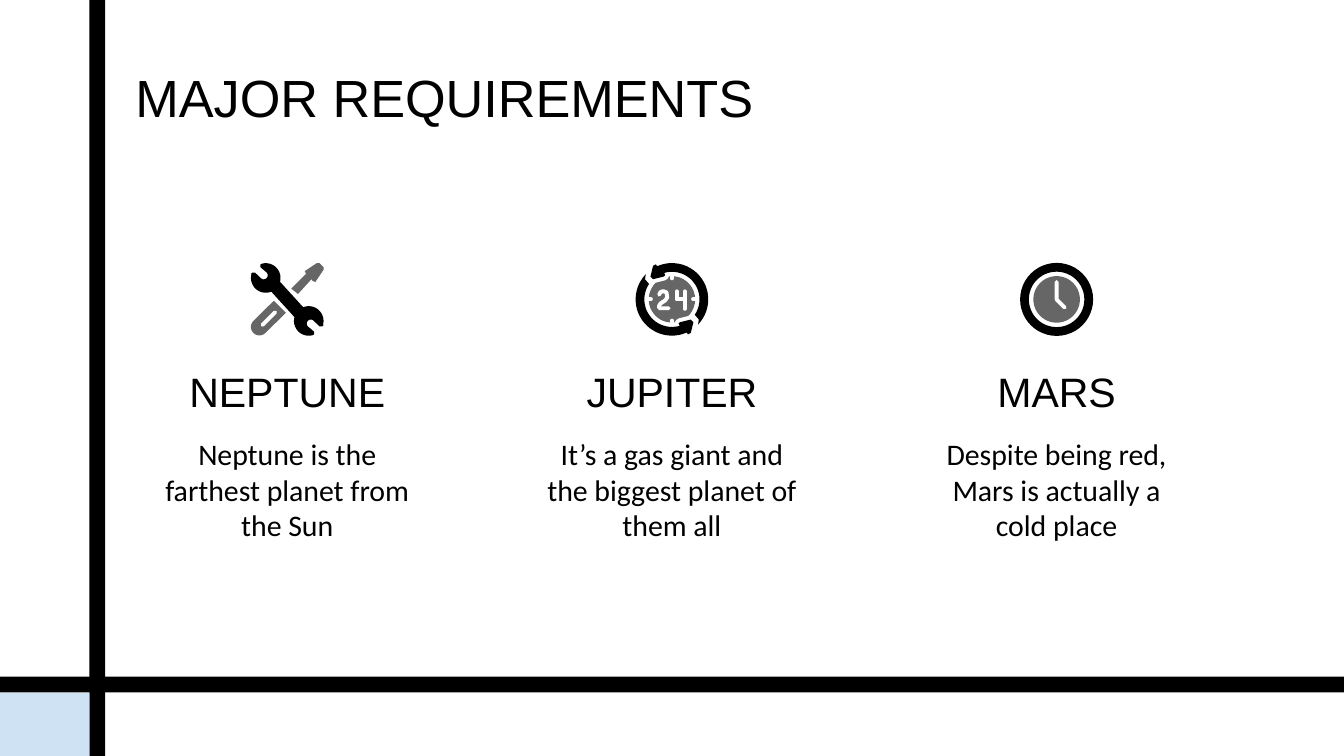
import math
import pptx
import pptx.dml.color
import pptx.enum.shapes
import pptx.enum.text
import pptx.oxml.ns
import pptx.util
from dataclasses import dataclass
from lxml import etree

Cm = pptx.util.Cm
Pt = pptx.util.Pt
Kind = pptx.enum.shapes.MSO_SHAPE
Align = pptx.enum.text.PP_ALIGN


@dataclass(frozen=True)
class Theme:
    ink: str = "000000"
    paper: str = "FFFFFF"
    gray: str = "666666"
    sky: str = "CFE2F3"
    head: str = "Arial"
    body: str = "Calibri"
    title: int = 28
    name: int = 22
    note: int = 16
    line: float = 2.1
    halo: float = 4.3


def arc(x, y, r, start, stop):
    """Points on an arc; angles in degrees, clockwise from the right."""
    steps = max(2, round(abs(stop - start) / 6))
    turns = [math.radians(start + (stop - start) * i / steps)
             for i in range(steps + 1)]
    return [(x + r * math.cos(t), y + r * math.sin(t)) for t in turns]


def spin(points):
    """Half a turn about the icon centre."""
    return [(-x, -y) for x, y in points]


class Page:
    """Draws on one slide; icon points are relative to the icon centre."""

    unit = Cm(0.0254)

    def __init__(self, slide, theme):
        self.slide = slide
        self.shapes = slide.shapes
        self.theme = theme

    def color(self, value):
        return pptx.dml.color.RGBColor.from_string(value)

    def paint(self, shape, fill):
        shape.shadow.inherit = False
        shape.fill.solid()
        shape.fill.fore_color.rgb = self.color(fill)
        shape.line.fill.background()

    def block(self, x, y, w, h, fill, kind=Kind.RECTANGLE):
        shape = self.shapes.add_shape(kind, Cm(x), Cm(y), Cm(w), Cm(h))
        self.paint(shape, fill)
        return shape

    def disc(self, spot, r, fill, kind=Kind.OVAL):
        x, y = spot
        return self.block(x - r, y - r, 2 * r, 2 * r, fill, kind)

    def trace(self, spot, points, close):
        (x, y), *rest = [(px * self.unit, py * self.unit) for px, py in points]
        pen = self.shapes.build_freeform(x, y)
        pen.add_line_segments(rest, close=close)
        return pen.convert_to_shape(Cm(spot[0]), Cm(spot[1]))

    def solid(self, spot, points, fill, rim=None):
        shape = self.trace(spot, points, True)
        self.paint(shape, fill)
        if rim:
            shape.line.color.rgb = self.color(fill)
            shape.line.width = Pt(rim)

    def stroke(self, spot, points):
        shape = self.trace(spot, points, False)
        shape.shadow.inherit = False
        shape.fill.background()
        shape.line.color.rgb = self.color(self.theme.paper)
        shape.line.width = Pt(self.theme.line)
        line = shape.element.spPr.find(pptx.oxml.ns.qn("a:ln"))
        line.set("cap", "rnd")
        etree.SubElement(line, pptx.oxml.ns.qn("a:round"))

    def letter(self, shape, text, font, size, align):
        frame = shape.text_frame
        frame.word_wrap = True
        frame.auto_size = pptx.enum.text.MSO_AUTO_SIZE.NONE
        frame.vertical_anchor = pptx.enum.text.MSO_ANCHOR.MIDDLE
        frame.margin_left = frame.margin_right = Cm(0.25)
        frame.margin_top = frame.margin_bottom = Cm(0.25)
        frame.text = text
        para = frame.paragraphs[0]
        para.alignment = align
        para.font.name = font
        para.font.size = Pt(size)
        para.font.color.rgb = self.color(self.theme.ink)

    def title(self, text, x, y, w, h):
        shape = self.shapes.title
        shape.left, shape.top = Cm(x), Cm(y)
        shape.width, shape.height = Cm(w), Cm(h)
        self.letter(shape, text, self.theme.head, self.theme.title, Align.LEFT)

    def label(self, text, mid, y, w, h, font, size):
        box = self.shapes.add_textbox(Cm(mid - w / 2), Cm(y), Cm(w), Cm(h))
        self.letter(box, text, font, size, Align.CENTER)

    def tools(self, spot):
        driver = [(3, -8), (14, -19), (13, -21), (22, -27), (24, -27),
                  (27, -24), (27, -22), (21, -13), (19, -13.5), (18, -15),
                  (8, -4)]
        handle = [(-10, 1)] + arc(-20.7, 20.5, 6.3, 225, 45) + [(-1, 10)]
        slot = [(-20, -26), (-20, -24), *arc(-17.5, -18, 3, -45, 135),
                (-24, -20), (-26, -20), (-27, -19)]
        half = arc(-16, -16, 11, 15, -105) + slot + arc(-16, -16, 11, 195, 68)
        self.solid(spot, driver, self.theme.gray)
        self.solid(spot, handle, self.theme.gray)
        self.stroke(spot, [(-18.5, 19), (-9, 9.5)])
        self.solid(spot, half + spin(half), self.theme.ink)

    def day(self, spot):
        self.disc(spot, 0.44, self.theme.gray)
        two = [(-9.5, -3.5), (-8.5, -5.5), (-6.5, -6.2), (-4, -5.2),
               (-3.5, -1.5), (-5, 0.7), (-8.5, 3), (-9.5, 4.5), (-9.5, 6.5),
               (-2.5, 6.5)]
        four = [(3.5, -6), (3.5, 0), (9.5, 0)]
        stem = [(9.5, -6), (9.5, 7)]
        side, top = [(15.7, 0), (17, 0)], [(0, -17), (0, -15.7)]
        for points in (two, four, stem, side, spin(side), top, spin(top)):
            self.stroke(spot, points)
        tip = [(-6, -20), (-5, -18), (-6, -17), (-14, -15), (-16, -17),
               (-14, -25), (-12, -26)]
        sweep = (arc(0, 0, 27, 246, 404) + [(20, 15), (17, 11.5)]
                 + arc(0, 0, 20.5, 394, 253) + tip)
        arrows = sweep, spin(sweep)
        for points in arrows:
            self.solid(spot, points, self.theme.paper, self.theme.halo)
        for points in arrows:
            self.solid(spot, points, self.theme.ink)

    def clock(self, spot):
        self.disc(spot, 0.44, self.theme.gray)
        ring = self.disc(spot, 0.69, self.theme.ink, Kind.DONUT)
        ring.adjustments[0] = 0.12
        self.stroke(spot, [(0, -13), (0, 0), (6, 6)])


def main():
    deck = pptx.Presentation()
    deck.slide_width, deck.slide_height = Cm(25.4), Cm(14.29)
    theme = Theme()
    page = Page(deck.slides.add_slide(deck.slide_layouts[5]), theme)

    page.block(1.69, 0, 0.3, 14.29, theme.ink)
    page.block(0, 13.1, 1.69, 1.19, theme.sky)
    page.block(0, 12.79, 25.4, 0.3, theme.ink)
    page.title("MAJOR REQUIREMENTS", 2.31, 1.5, 21.1, 0.66)

    items = [
        ("NEPTUNE", "Neptune is the farthest planet from the Sun", page.tools),
        ("JUPITER", "It’s a gas giant and the biggest planet of them all",
         page.day),
        ("MARS", "Despite being red, Mars is actually a cold place",
         page.clock),
    ]
    for i, (name, note, icon) in enumerate(items):
        mid = 5.43 + 7.27 * i
        icon((mid, 5.66))
        page.label(name, mid, 6.83, 6, 1.12, theme.head, theme.name)
        page.label(note, mid, 8.33, 5.36, 1.83, theme.body, theme.note)

    deck.save("out.pptx")


if __name__ == "__main__":
    main()
